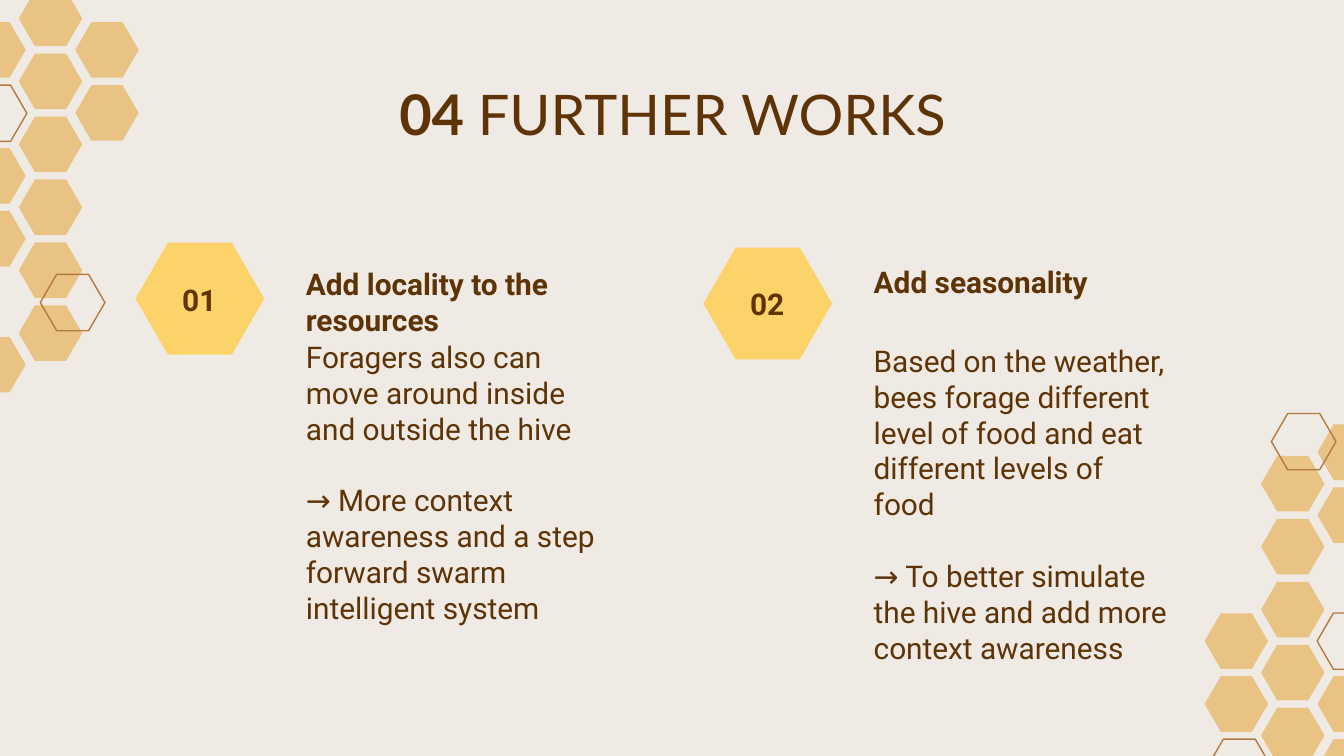
"""Build the "Further works" slide with its honeycomb decoration."""
from pptx import Presentation
from pptx.dml.color import RGBColor
from pptx.enum.shapes import MSO_SHAPE
from pptx.enum.text import MSO_ANCHOR, MSO_AUTO_SIZE, PP_ALIGN
from pptx.util import Pt

HEXAGON = MSO_SHAPE.HEXAGON
TOP, MIDDLE, BOTTOM = MSO_ANCHOR.TOP, MSO_ANCHOR.MIDDLE, MSO_ANCHOR.BOTTOM
LEFT, CENTER = PP_ALIGN.LEFT, PP_ALIGN.CENTER
NO_FIT = MSO_AUTO_SIZE.NONE

CREAM = RGBColor(0xF0, 0xEA, 0xE5)
HONEY = RGBColor(0xE9, 0xC3, 0x83)
AMBER = RGBColor(0xB3, 0x78, 0x3D)
YELLOW = RGBColor(0xFC, 0xD3, 0x69)
BROWN = RGBColor(0x5E, 0x34, 0x07)

TITLE = [("04 ", True), ("FURTHER WORKS", False)]
TITLE_AREA = (56.9, 35.3, 607, 45.4)
WORKS = [
    {
        "number": "01",
        "heading": "Add locality to the resources",
        "body": [
            "Foragers also can move around inside and outside the hive",
            "→ More context awareness and a step forward swarm intelligent system",
        ],
        "left": 72.6, "badge_top": 130, "heading_top": 117.4, "body_top": 174.2,
    },
    {
        "number": "02",
        "heading": "Add seasonality",
        "body": [
            "Based on the weather, bees forage different level of food "
            "and eat different levels of food",
            "→ To better simulate the hive and add more context awareness",
        ],
        "left": 376.8, "badge_top": 132.6, "heading_top": 97.2, "body_top": 176.4,
    },
]
HONEYCOMBS = [
    {"origin": (-20.2, -5),
     "columns": [(1, 5, 7, 11), (0, 2, 4, 6, 8, 10), (1, 3)]},
    {"origin": (645.3, 227.4),
     "columns": [(6, 8), (1, 3, 5, 7, 9), (0, 2, 8, 10)]},
]
OUTLINES = [(-20.2, 45.6), (21.6, 147), (646.6, 396), (705.6, 328.4), (681.1, 221.5)]

CELL = (34, 29.8)
OUTLINE = (34.6, 30.2)
BADGE = (69, 60)
COLUMN_STEP, ROW_STEP = 30.25, 16.86
TEXT_OFFSET, TEXT_WIDTH = 84.2, 172.8
HEADING_HEIGHT, BODY_HEIGHT = 70.6, 168.5
NUMBER_INSET, NUMBER_SIZE = (9, 12.6), (50.4, 35.3)
INSET, PARAGRAPH_GAP = 7.2, 19.2
TEXT_FORMAT = {"name": "Roboto", "size": Pt(16), "bold": False}
TITLE_FORMAT = {"name": "Lato", "size": Pt(30)}


def apply_format(target, values):
    for name, value in values.items():
        setattr(target, name, value)


def add_hexagon(page, position, size, fill=None):
    hexagon = page.shapes.add_shape(HEXAGON, *map(Pt, position + size))
    hexagon.adjustments[0] = 0.29
    hexagon.shadow.inherit = False
    if fill is None:
        hexagon.fill.background()
        hexagon.line.color.rgb = AMBER
        hexagon.line.width = Pt(0.75)
    else:
        hexagon.fill.solid()
        hexagon.fill.fore_color.rgb = fill
        hexagon.line.fill.background()


def format_frame(frame, anchor):
    apply_format(frame, {
        "word_wrap": True, "auto_size": NO_FIT, "vertical_anchor": anchor,
        "margin_left": Pt(INSET), "margin_right": Pt(INSET),
        "margin_top": Pt(INSET), "margin_bottom": Pt(INSET),
    })


def add_text(page, area, texts, anchor=TOP, align=LEFT, bold=False):
    frame = page.shapes.add_textbox(*map(Pt, area)).text_frame
    format_frame(frame, anchor)
    for index, text in enumerate(texts):
        para = frame.add_paragraph() if index else frame.paragraphs[0]
        para.alignment = align
        para.space_before = Pt(PARAGRAPH_GAP if index else 0)
        span = para.add_run()
        span.text = text
        apply_format(span.font, {**TEXT_FORMAT, "bold": bold})
        span.font.color.rgb = BROWN


def add_honeycombs(page):
    for comb in HONEYCOMBS:
        left, top = comb["origin"]
        for column, rows in enumerate(comb["columns"]):
            for row in rows:
                position = (left + column * COLUMN_STEP, top + row * ROW_STEP)
                add_hexagon(page, position, CELL, HONEY)
    for position in OUTLINES:
        add_hexagon(page, position, OUTLINE)


def fill_title(page):
    title = page.shapes.title
    apply_format(title, dict(zip(("left", "top", "width", "height"), map(Pt, TITLE_AREA))))
    format_frame(title.text_frame, TOP)
    para = title.text_frame.paragraphs[0]
    para.alignment = CENTER
    for text, bold in TITLE:
        span = para.add_run()
        span.text = text
        apply_format(span.font, {**TITLE_FORMAT, "bold": bold})
        span.font.color.rgb = BROWN


def add_work(page, work):
    left, top = work["left"], work["badge_top"]
    text_left = left + TEXT_OFFSET
    add_hexagon(page, (left, top), BADGE, YELLOW)
    number_area = (left + NUMBER_INSET[0], top + NUMBER_INSET[1]) + NUMBER_SIZE
    heading_area = (text_left, work["heading_top"], TEXT_WIDTH, HEADING_HEIGHT)
    body_area = (text_left, work["body_top"], TEXT_WIDTH, BODY_HEIGHT)
    add_text(page, body_area, work["body"])
    add_text(page, heading_area, [work["heading"]], BOTTOM, bold=True)
    add_text(page, number_area, [work["number"]], MIDDLE, CENTER, True)


def main():
    deck = Presentation()
    deck.slide_width, deck.slide_height = Pt(720), Pt(405)
    page = deck.slides.add_slide(deck.slide_layouts[5])
    page.background.fill.solid()
    page.background.fill.fore_color.rgb = CREAM
    add_honeycombs(page)
    fill_title(page)
    for work in WORKS:
        add_work(page, work)
    deck.save("out.pptx")


if __name__ == "__main__":
    main()
